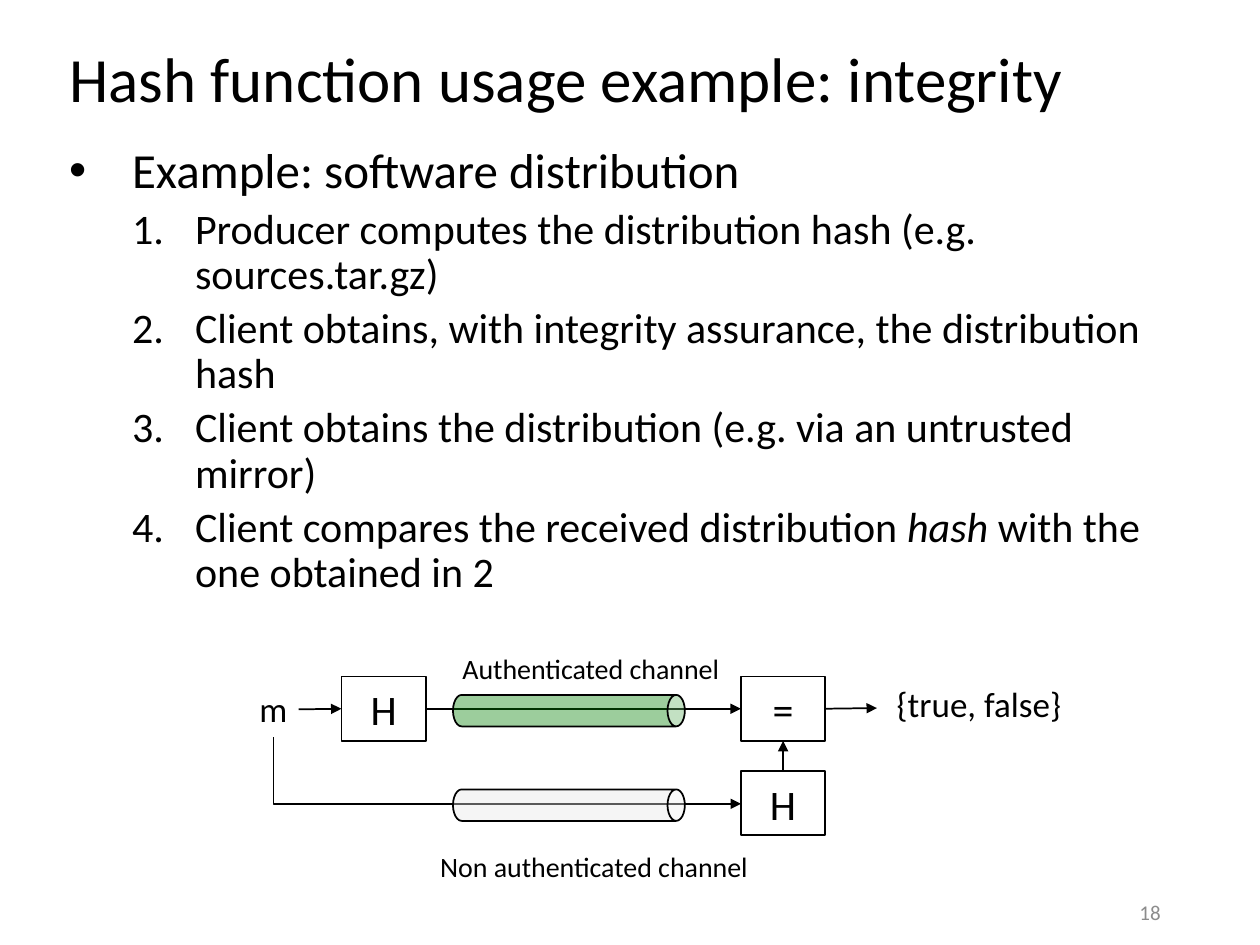
from lxml import etree
from pptx import Presentation
from pptx.dml import color
from pptx.enum import shapes, text
from pptx.oxml import ns
from pptx.util import Emu, Inches, Pt

COLORS = {"ink": "000000", "number": "8C8C8C", "trusted": "008000", "untrusted": "E7E6E6"}
FONT = "Calibri"
TOP, LEFT, BOTTOM, RIGHT = range(4)
BOX_W, BOX_H = Inches(0.67), Inches(0.51)
STEPS = [
    ["Producer computes the distribution hash (e.g. sources.tar.gz)"],
    ["Client obtains, with integrity assurance, the distribution hash"],
    ["Client obtains the distribution (e.g. via an untrusted mirror)"],
    ["Client compares the received distribution ", "hash", " with the one obtained in 2"],
]


def rgb(name):
    return color.RGBColor.from_string(COLORS[name])


def add_xml(parent, tag, **attributes):
    element = etree.SubElement(parent, ns.qn(tag))
    for key, value in attributes.items():
        element.set(key, str(value))
    return element


def write(paragraph, content, size, ink="ink", align=text.PP_ALIGN.LEFT, italic=None):
    paragraph.alignment = align
    run = paragraph.add_run()
    run.text = content
    run.font.name, run.font.size, run.font.italic = FONT, Pt(size), italic
    run.font.color.rgb = rgb(ink)


def label(slide, box, content, size, wrap=False, anchor=text.MSO_ANCHOR.TOP,
          align=text.PP_ALIGN.CENTER, ink="ink"):
    shape = slide.shapes.add_textbox(*box)
    frame = shape.text_frame
    frame.word_wrap, frame.vertical_anchor = wrap, anchor
    write(frame.paragraphs[0], content, size, ink=ink, align=align)
    return shape


def set_outline(shape):
    shape.line.color.rgb = rgb("ink")
    shape.line.width = Pt(1)


def arrow(slide, start, end, source=None, target=None, kind=shapes.MSO_CONNECTOR.STRAIGHT):
    line = slide.shapes.add_connector(kind, *start, *end)
    if source:
        line.begin_connect(*source)
    if target:
        line.end_connect(*target)
    set_outline(line)
    add_xml(line.line._get_or_add_ln(), "a:tailEnd", type="triangle")
    add_xml(line._element.spPr, "a:effectLst")
    return line


def corner_arrow(slide, start, end):
    """Goes down from start, then right to end."""
    line = arrow(slide, start, end, kind=shapes.MSO_CONNECTOR.ELBOW)
    across, down = end[0] - start[0], end[1] - start[1]
    # The one-bend preset is turned a quarter, so its width and height swap
    line.left = Emu((start[0] + end[0] - down) // 2)
    line.top = Emu((start[1] + end[1] - across) // 2)
    line.width, line.height = Emu(down), Emu(across)
    properties = line._element.spPr
    properties.find(ns.qn("a:prstGeom")).set("prst", "bentConnector2")
    transform = properties.find(ns.qn("a:xfrm"))
    transform.set("rot", str(270 * 60000))
    transform.set("flipH", "1")


def operation(slide, left, top, symbol):
    box = slide.shapes.add_shape(shapes.MSO_SHAPE.RECTANGLE, left, top, BOX_W, BOX_H)
    box.shadow.inherit = False
    box.fill.background()
    set_outline(box)
    box.text_frame.vertical_anchor = text.MSO_ANCHOR.MIDDLE
    write(box.text_frame.paragraphs[0], symbol, 24, align=text.PP_ALIGN.CENTER)
    return box


def channel(slide, left, top, fill):
    """A lying cylinder whose upright box is turned by 90 degrees."""
    pipe = slide.shapes.add_shape(shapes.MSO_SHAPE.CAN, left, top, Inches(0.25), Inches(1.84))
    pipe.rotation = 90
    pipe.adjustments[0] = 0.55
    pipe.shadow.inherit = False
    pipe.fill.solid()
    pipe.fill.fore_color.rgb = rgb(fill)
    solid = pipe._element.spPr.find(ns.qn("a:solidFill"))
    add_xml(solid[0], "a:alpha", val=39000)
    set_outline(pipe)


def add_title(slide, box, content):
    title = slide.shapes.title
    title.left, title.top, title.width, title.height = box
    frame = title.text_frame
    frame.vertical_anchor = text.MSO_ANCHOR.MIDDLE
    frame.paragraphs[0].line_spacing = 0.9
    write(frame.paragraphs[0], content, 36)


def add_steps(slide, box):
    frame = slide.shapes.add_textbox(*box).text_frame
    frame.word_wrap = True

    def item(paragraph, level, space, tag, **bullet):
        paragraph.level = level
        paragraph.line_spacing, paragraph.space_before = 0.9, Pt(space)
        properties = paragraph._p.get_or_add_pPr()
        properties.set("marL", str(Inches(0.5) * (level + 1)))
        properties.set("indent", str(-Inches(0.5)))
        add_xml(properties, "a:buFont", typeface="Arial" if level == 0 else "+mj-lt")
        add_xml(properties, tag, **bullet)

    heading = frame.paragraphs[0]
    item(heading, 0, 0, "a:buChar", char="•")
    write(heading, "Example: software distribution", 28)
    for parts in STEPS:
        step = frame.add_paragraph()
        item(step, 1, 5, "a:buAutoNum", type="arabicPeriod")
        for part in parts:
            write(step, part, 24, italic=part == "hash" or None)


def add_diagram(slide, left, top):
    def at(x, y):
        return left + Inches(x), top + Inches(y)

    def box(x, y, width, height):
        return (*at(x, y), Inches(width), Inches(height))

    # Sender: message and its hash
    sender_hash = operation(slide, *at(0.75, 0.25), "H")
    message = label(slide, box(0, 0.29, 0.41, 0.44), "m", 20, wrap=True)
    arrow(slide, at(0.41, 0.51), at(0.75, 0.51), (message, RIGHT), (sender_hash, LEFT))

    # Receiver: hash of the distribution and comparison
    compare = operation(slide, *at(3.92, 0.25), "=")
    arrow(slide, at(1.42, 0.51), at(3.92, 0.51), (sender_hash, RIGHT), (compare, LEFT))
    receiver_hash = operation(slide, *at(3.92, 1), "H")
    corner_arrow(slide, at(0.21, 0.73), at(3.92, 1.26))
    arrow(slide, at(4.25, 1), at(4.25, 0.76), (receiver_hash, TOP), (compare, BOTTOM))
    arrow(slide, at(4.59, 0.5), at(5, 0.5), (compare, RIGHT))
    label(slide, box(5.05, 0.25, 1.52, 0.44), "{true, false}", 20)

    # Channels over the arrows
    channel(slide, *at(2.43, -0.4), "trusted")
    label(slide, box(1.6, 0, 2.26, 0.37), "Authenticated channel", 16)
    channel(slide, *at(2.43, 0.35), "untrusted")
    label(slide, box(1.42, 1.57, 2.67, 0.37), "Non authenticated channel", 16)


def main():
    deck = Presentation()
    deck.slide_width, deck.slide_height = Inches(10), Inches(7.5)
    slide = deck.slides.add_slide(deck.slide_layouts[5])
    margin, content_width = Inches(0.45), Inches(9.1)
    add_title(slide, (margin, Inches(0.29), content_width, Inches(0.72)),
              "Hash function usage example: integrity")
    add_steps(slide, (margin, Inches(1.11), content_width, Inches(5.95)))
    label(slide, (Inches(7.06), Inches(7.13), Inches(2.25), Inches(0.22)), "18", 12,
          wrap=True, anchor=text.MSO_ANCHOR.MIDDLE, align=text.PP_ALIGN.RIGHT, ink="number")
    add_diagram(slide, Inches(1.96), Inches(5.12))
    deck.save("out.pptx")


if __name__ == "__main__":
    main()
